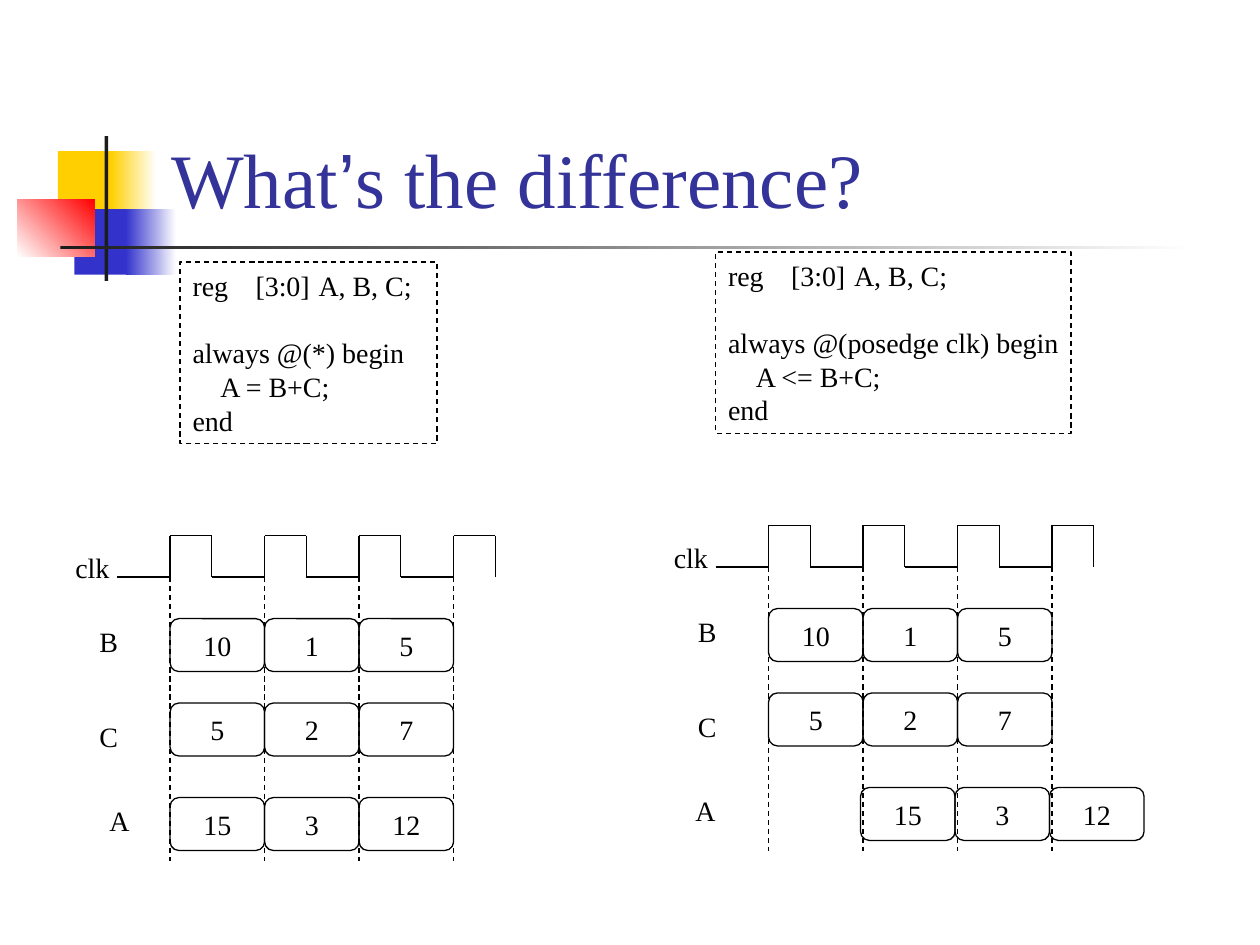
from lxml import etree
from pptx import Presentation
from pptx.dml.color import RGBColor
from pptx.enum import dml, shapes, text
from pptx.oxml.ns import qn
from pptx.util import Inches, Pt

BLACK = RGBColor(0x00, 0x00, 0x00)
WHITE = RGBColor(0xFF, 0xFF, 0xFF)
CHARCOAL = RGBColor(0x1C, 0x1C, 0x1C)
YELLOW = RGBColor(0xFF, 0xCF, 0x01)
BLUE = RGBColor(0x33, 0x33, 0xCC)
RED = RGBColor(0xFF, 0x00, 0x00)
TITLE_BLUE = RGBColor(0x33, 0x33, 0x99)

RECT = shapes.MSO_SHAPE.RECTANGLE
ROUNDED = shapes.MSO_SHAPE.ROUNDED_RECTANGLE
LEFT, CENTER = text.PP_ALIGN.LEFT, text.PP_ALIGN.CENTER
TOP, MIDDLE, BOTTOM = (text.MSO_ANCHOR.TOP, text.MSO_ANCHOR.MIDDLE,
                       text.MSO_ANCHOR.BOTTOM)
LINE_PITCH = 19.25


def set_all(target, values):
    for name, value in values.items():
        setattr(target, name, value)


class Page:
    font, size, stroke = "Times New Roman", 16, 0.74

    def __init__(self, slide):
        self.slide = slide
        self.items = slide.shapes

    def start_group(self):
        self.items = self.slide.shapes.add_group_shape().shapes

    def outline(self, line, dashed):
        line.width = Pt(self.stroke)
        line.color.rgb = BLACK
        if dashed:
            line.dash_style = dml.MSO_LINE.DASH

    def block(self, at, start, end=None, angle=0):
        """A borderless rectangle, plain or with a two-colour gradient."""
        box = self.items.add_shape(RECT, *map(Inches, at))
        box.shadow.inherit = False
        box.line.fill.background()
        if end is None:
            box.fill.solid()
            box.fill.fore_color.rgb = start
            return
        box.fill.gradient()
        box.fill.gradient_angle = angle
        for stop, color in zip(box.fill.gradient_stops, (start, end)):
            stop.color.rgb = color

    def frame(self, kind, at, dashed=False):
        box = self.items.add_shape(kind, *map(Inches, at))
        box.shadow.inherit = False
        box.fill.background()
        self.outline(box.line, dashed)
        return box

    def line(self, start, end, dashed=False):
        wire = self.items.add_connector(
            shapes.MSO_CONNECTOR.STRAIGHT, *map(Inches, start + end))
        self.outline(wire.line, dashed)
        etree.SubElement(wire._element.spPr, qn("a:effectLst"))

    def paragraph(self, para, spans, align=LEFT, color=BLACK, size=None,
                  pitch=LINE_PITCH):
        para.alignment = align
        if pitch:
            para.line_spacing = Pt(pitch)
        for words, font in spans:
            span = para.add_run()
            span.text = words
            set_all(span.font, {"name": font, "size": Pt(size or self.size)})
            span.font.color.rgb = color

    def caption(self, box, words, align=LEFT, anchor=TOP):
        set_all(box.text_frame, {"word_wrap": False, "vertical_anchor": anchor})
        self.paragraph(box.text_frame.paragraphs[0], [(words, self.font)], align)

    def label(self, at, words):
        self.caption(self.items.add_textbox(*map(Inches, at)), words)

    def title(self, at, spans):
        box = self.items.add_textbox(*map(Inches, at))
        set_all(box.text_frame, {"word_wrap": True, "vertical_anchor": BOTTOM})
        self.paragraph(box.text_frame.paragraphs[0], spans,
                       color=TITLE_BLUE, size=44, pitch=None)

    def code(self, at, lines, tabs):
        """Lines are (text, indent, blank lines before)."""
        frame = self.frame(RECT, at, dashed=True).text_frame
        set_all(frame, {"word_wrap": False, "vertical_anchor": TOP})
        for number, (words, indent, gap) in enumerate(lines):
            para = frame.add_paragraph() if number else frame.paragraphs[0]
            self.paragraph(para, [(words, self.font)])
            para.space_before = Pt(gap * LINE_PITCH)
            props = para._p.get_or_add_pPr()
            props.set("marL", str(Inches(indent)))
            props.set("indent", "0")
            if "\t" in words:
                stops = etree.SubElement(props, qn("a:tabLst"))
                for tab in tabs:
                    etree.SubElement(stops, qn("a:tab"),
                                     pos=str(Inches(tab)), algn="l")


# Timing diagram: lengths measured from the first clock edge and the low level
PERIOD, HIGH, RISE, LEAD = 0.75, 0.33, 0.33, 0.42
ROWS = [("B", 0.33, 0.33, (10, 1, 5)),
        ("C", 1, 1.08, (5, 2, 7)),
        ("A", 1.75, 1.75, (15, 3, 12))]


def timing_diagram(page, left, low, result_shift, result_label):
    page.start_group()
    edges = [left + PERIOD * i for i in range(4)]

    # Clock wave
    wave = [(left - LEAD, low)]
    for edge in edges:
        wave += [(edge, low), (edge, low - RISE),
                 (edge + HIGH, low - RISE), (edge + HIGH, low)]
    for start, end in zip(wave, wave[1:]):
        page.line(start, end)
    page.label((left - 0.85, low - 0.26, 0.47, 0.37), "clk")

    # Signal values
    for name, drop, label_drop, values in ROWS:
        is_result = name == "A"
        shift = result_shift if is_result else 0
        for edge, value in zip(edges, values):
            box = page.frame(ROUNDED, (edge + shift, low + drop, PERIOD, 0.42))
            page.caption(box, str(value), CENTER, MIDDLE)
        label_left = left + (result_label if is_result else -0.66)
        page.label((label_left, low + label_drop, 0.35, 0.37), name)

    # Edge guides
    for edge in edges:
        page.line((edge, low), (edge, low + 2.25), dashed=True)


deck = Presentation()
set_all(deck, {"slide_width": Inches(10), "slide_height": Inches(7.5)})
page = Page(deck.slides.add_slide(deck.slide_layouts[6]))

# Corner ornament and rule
page.block((0.46, 1.2, 0.48, 0.52), YELLOW)
page.block((0.88, 1.2, 0.36, 0.52), YELLOW, WHITE)
page.block((0.59, 1.66, 0.46, 0.52), BLUE)
page.block((1, 1.66, 0.4, 0.52), BLUE, WHITE)
page.block((0.14, 1.58, 0.61, 0.46), WHITE, RED, angle=45)
page.block((0.83, 1.08, 0.03, 1.15), CHARCOAL)
page.block((0.48, 1.95, 9, 0.03), CHARCOAL, WHITE)

# Title
page.title((1.26, 0.23, 8.52, 1.6), [
    ("What", page.font), ("\u2019", "Arial"), ("s the difference?", page.font)])

# Code samples
for at, trigger, assign in [
        ((1.43, 2.08, 2.04, 1.44), "*", "="),
        ((5.68, 2, 2.82, 1.44), "posedge clk", "<=")]:
    page.code(at, [("reg\t[3:0]\tA, B, C;", 0, 0),
                   (f"always @({trigger}) begin", 0, 1),
                   (f"A {assign} B+C;", 0.22, 0),
                   ("end", 0, 0)], tabs=(0.51, 1.1))

# Timing diagrams
timing_diagram(page, 1.35, 4.58, result_shift=0, result_label=-0.58)
timing_diagram(page, 6.1, 4.5, result_shift=0.73, result_label=-0.68)

deck.save("out.pptx")
